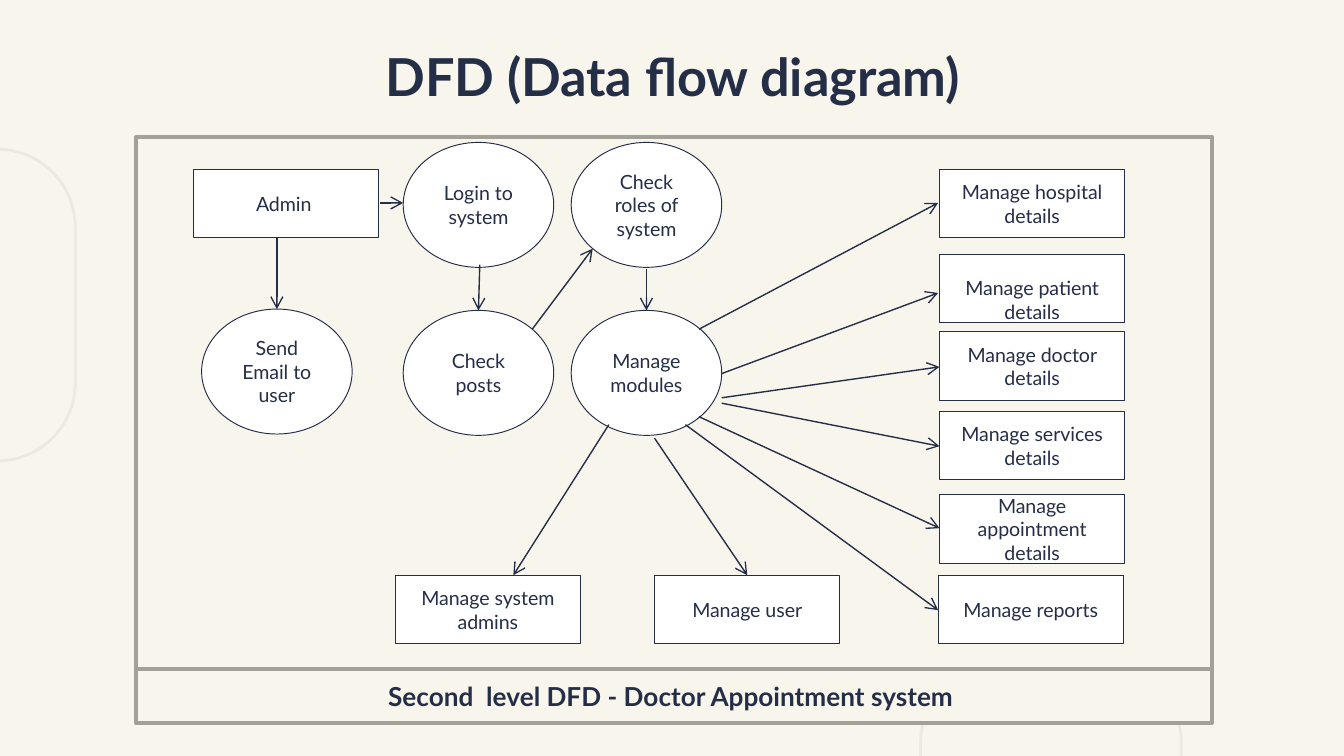
from dataclasses import dataclass

from lxml import etree
from pptx import Presentation
from pptx import util as u
from pptx.dml.color import RGBColor
from pptx.enum import shapes, text
from pptx.oxml import ns


@dataclass(frozen=True)
class Theme:
    font: str = "Lato"
    ink: str = "252E47"
    paper: str = "F8F5EC"
    node: str = "FFFFFF"
    frame: str = "A1A198"
    ornament: str = "ECE9E1"
    title_size: float = 28
    caption_size: float = 14
    node_size: float = 10.5
    node_line: float = 0.5
    arrow_line: float = 0.75
    ornament_line: float = 1.5
    frame_line: float = 2


@dataclass(frozen=True)
class Node:
    label: str
    left: float
    top: float
    kind: shapes.MSO_SHAPE
    width: float
    height: float


@dataclass(frozen=True)
class Arrow:
    x1: float
    y1: float
    x2: float
    y2: float


THEME = Theme()
SLIDE_WIDTH = 10
SLIDE_HEIGHT = SLIDE_WIDTH * 9 / 16
RECTANGLE, OVAL = shapes.MSO_SHAPE.RECTANGLE, shapes.MSO_SHAPE.OVAL


def process(label: str, left: float, top: float) -> Node:
    return Node(label, left, top, OVAL, 1.12, 0.93)


def box(label: str, left: float, top: float) -> Node:
    return Node(label, left, top, RECTANGLE, 1.38, 0.51)


PATIENT = box("Manage patient details", 6.99, 1.89)
NODES = [
    process("Manage modules", 4.25, 2.31),
    process("Check roles of system", 4.25, 1.06),
    process("Login to system", 3, 1.06),
    process("Check posts", 3, 2.31),
    process("Send Email to user", 1.5, 2.3),
    box("Manage system admins", 2.94, 4.28),
    box("Manage user", 4.87, 4.28),
    box("Admin ", 1.44, 1.26),
    box("Manage doctor details", 6.99, 2.47),
    box("Manage reports", 6.98, 4.28),
    box("Manage appointment details", 6.99, 3.68),
    PATIENT,
    box("Manage hospital details", 6.99, 1.26),
    box("Manage services details", 6.99, 3.06),
]
ARROWS = [
    # From "Manage modules" to the boxes below and at the right
    Arrow(4.53, 3.16, 3.82, 4.28),
    Arrow(4.87, 3.26, 5.56, 4.28),
    Arrow(5.2, 2.45, 6.98, 1.51),
    Arrow(5.37, 2.78, 6.98, 2.18),
    Arrow(5.37, 2.96, 6.99, 2.73),
    Arrow(5.37, 3, 6.99, 3.32),
    Arrow(5.2, 3.1, 6.99, 3.93),
    Arrow(5.1, 3.16, 6.98, 4.54),
    # From "Admin" through the processes
    Arrow(2.06, 1.77, 2.06, 2.3),
    Arrow(2.83, 1.51, 3, 1.51),
    Arrow(3.57, 1.97, 3.56, 2.31),
    Arrow(3.96, 2.45, 4.41, 1.85),
    Arrow(4.81, 2, 4.81, 2.31),
]


def color(value: str) -> RGBColor:
    return RGBColor.from_string(value)


def add_panel(slide, kind, left: float, top: float, width: float, height: float,
              fill: str | None, line: str, line_width: float):
    shape = slide.shapes.add_shape(
        kind, u.Inches(left), u.Inches(top), u.Inches(width), u.Inches(height))
    shape.shadow.inherit = False
    if fill:
        shape.fill.solid()
        shape.fill.fore_color.rgb = color(fill)
    else:
        shape.fill.background()
    shape.line.color.rgb = color(line)
    shape.line.width = u.Pt(line_width)
    return shape


def write(shape, words: str, size: float, bold: bool = False) -> None:
    frame = shape.text_frame
    frame.word_wrap = True
    frame.vertical_anchor = text.MSO_ANCHOR.MIDDLE
    paragraph = frame.paragraphs[0]
    paragraph.text = words
    paragraph.alignment = text.PP_ALIGN.CENTER
    paragraph.font.name = THEME.font
    paragraph.font.size = u.Pt(size)
    paragraph.font.bold = bold
    paragraph.font.color.rgb = color(THEME.ink)


def add_node(slide, node: Node):
    shape = add_panel(slide, node.kind, node.left, node.top, node.width, node.height,
                      THEME.node, THEME.ink, THEME.node_line)
    write(shape, node.label, THEME.node_size)
    return shape


def add_arrow(slide, arrow: Arrow) -> None:
    connector = slide.shapes.add_connector(
        shapes.MSO_CONNECTOR.STRAIGHT, u.Inches(arrow.x1), u.Inches(arrow.y1),
        u.Inches(arrow.x2), u.Inches(arrow.y2))
    connector.line.color.rgb = color(THEME.ink)
    connector.line.width = u.Pt(THEME.arrow_line)
    etree.SubElement(connector.line._get_or_add_ln(), ns.qn("a:tailEnd"), type="arrow")
    etree.SubElement(connector._element.spPr, ns.qn("a:effectLst"))


def main() -> None:
    presentation = Presentation()
    presentation.slide_width = u.Inches(SLIDE_WIDTH)
    presentation.slide_height = u.Inches(SLIDE_HEIGHT)
    slide = presentation.slides.add_slide(presentation.slide_layouts[6])
    slide.background.fill.solid()
    slide.background.fill.fore_color.rgb = color(THEME.paper)

    # Background ornaments
    for left, top in [(-1.38, 1.11), (6.85, 4.94)]:
        ornament = add_panel(slide, shapes.MSO_SHAPE.ROUNDED_RECTANGLE, left, top, 1.94, 2.32,
                             None, THEME.ornament, THEME.ornament_line)
        ornament.adjustments[0] = 0.3

    # Title
    title = slide.shapes.add_textbox(
        u.Inches(0.79), u.Inches(0.25), u.Inches(8.43), u.Inches(0.63))
    write(title, "DFD (Data flow diagram)", THEME.title_size, bold=True)

    # Diagram frame and caption
    add_panel(slide, RECTANGLE, 1.01, 1.02, 8.01, 3.96,
              THEME.paper, THEME.frame, THEME.frame_line)
    caption = add_panel(slide, RECTANGLE, 1.01, 4.98, 8.01, 0.4,
                        THEME.paper, THEME.frame, THEME.frame_line)
    write(caption, "Second  level DFD - Doctor Appointment system ",
          THEME.caption_size, bold=True)

    # Processes and boxes
    for node in NODES:
        shape = add_node(slide, node)
        if node is PATIENT:  # this label sits low in its box
            shape.text_frame.margin_top = u.Inches(0.17)
            shape.text_frame.margin_bottom = 0

    # Data flows
    for arrow in ARROWS:
        add_arrow(slide, arrow)

    presentation.save("out.pptx")


if __name__ == "__main__":
    main()
